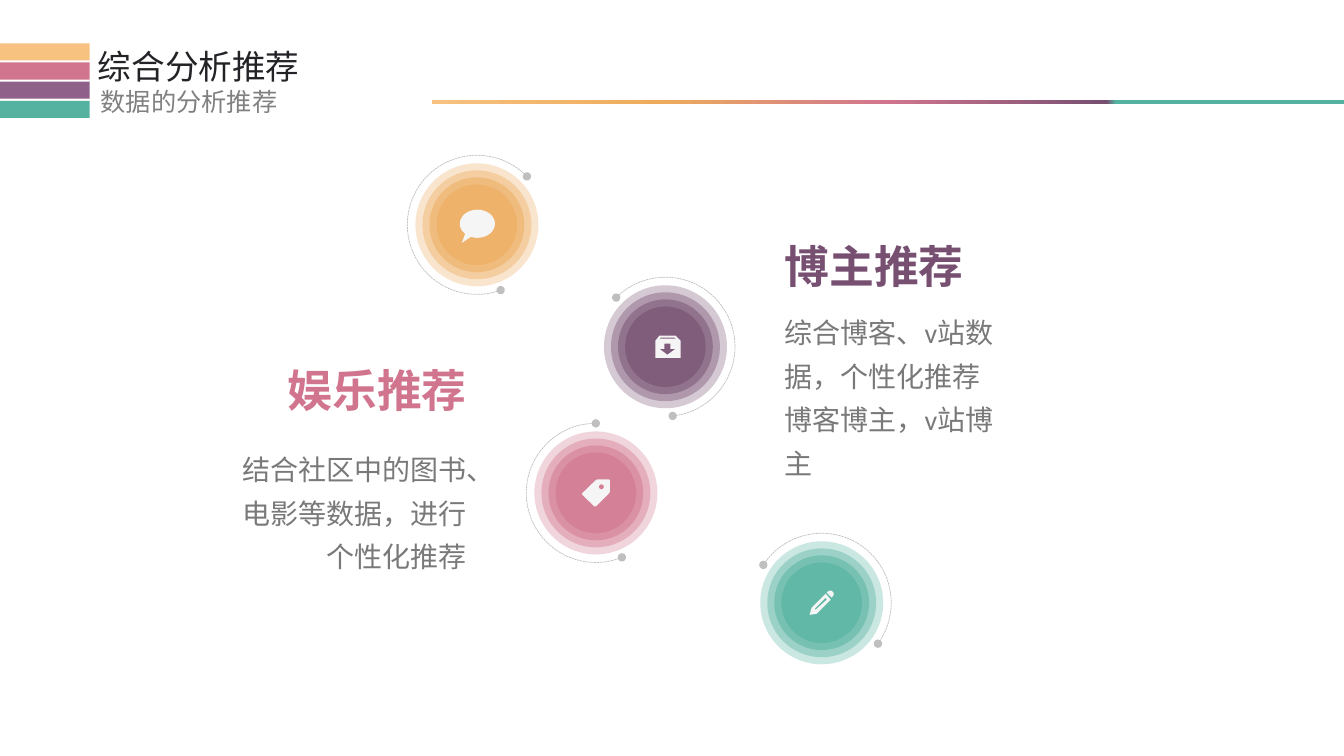
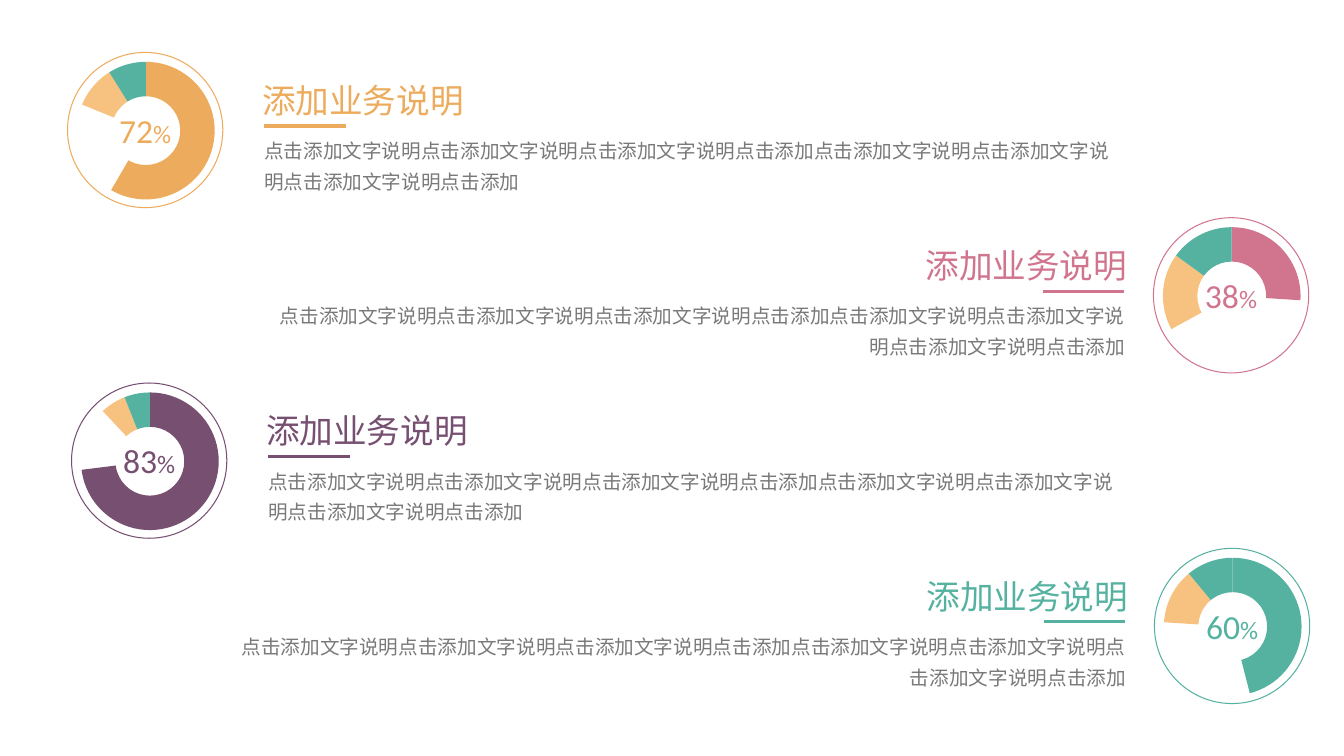
from dataclasses import dataclass
from math import cos, radians, sin

from lxml import etree
from pptx import Presentation
from pptx.chart.data import CategoryChartData
from pptx.dml.color import RGBColor
from pptx.enum.chart import XL_CHART_TYPE as CHART
from pptx.enum.dml import MSO_LINE
from pptx.enum.shapes import MSO_CONNECTOR, MSO_SHAPE as SHAPE
from pptx.enum.text import MSO_ANCHOR, MSO_AUTO_SIZE, PP_ALIGN as ALIGN
from pptx.oxml.ns import qn
from pptx.util import Inches, Pt


@dataclass(frozen=True)
class Theme:
    amber: str = "EDAC5D"
    sand: str = "F7C17F"
    rose: str = "D1758E"
    plum: str = "774F71"
    mauve: str = "8F608A"
    teal: str = "55B2A0"
    ink: str = "232226"
    subtitle: str = "808080"
    body: str = "797979"
    orbit: str = "BFBFBF"
    icon: str = "F5F5F5"
    white: str = "FFFFFF"
    cjk: str = "Noto Sans CJK SC"
    latin: str = "Calibri"
    chart_font: str = "Arial"
    big: int = 32
    head: int = 24
    text: int = 20
    sub: int = 18
    small: int = 14
    chart_size: int = 10


T = Theme()
rgb = RGBColor.from_string
TITLE_ONLY, BLANK = 5, 6


# Shared helpers
def sub(parent, tag, **attrs):
    """Append an XML child with the given attributes."""
    child = etree.SubElement(parent, qn(tag))
    for key, value in attrs.items():
        child.set(key, str(value))
    return child


def paint(sp, color=None, alpha=None, line=None, width=0.75):
    """Set fill and outline, without a shadow."""
    sp.shadow.inherit = False
    if color:
        sp.fill.solid()
        sp.fill.fore_color.rgb = rgb(color)
        if alpha:
            clr = sp._element.spPr.find(".//" + qn("a:srgbClr"))
            sub(clr, "a:alpha", val=alpha * 1000)
    else:
        sp.fill.background()
    if line:
        sp.line.color.rgb = rgb(line)
        sp.line.width = Pt(width)
    else:
        sp.line.fill.background()
    return sp


def shape(shapes, kind, x, y, w, h, **style):
    sp = shapes.add_shape(kind, Inches(x), Inches(y), Inches(w), Inches(h))
    return paint(sp, **style)


def circle(shapes, cx, cy, d, **style):
    return shape(shapes, SHAPE.OVAL, cx - d / 2, cy - d / 2, d, d, **style)


def write(tf, runs, color, align=ALIGN.LEFT, spacing=None, bold=False):
    """Fill a text frame with one paragraph of (text, size, font) runs."""
    tf.word_wrap = True
    tf.auto_size = MSO_AUTO_SIZE.SHAPE_TO_FIT_TEXT
    tf.vertical_anchor = MSO_ANCHOR.TOP
    tf.margin_left = tf.margin_right = Inches(0.05)
    tf.margin_top = tf.margin_bottom = Inches(0.05)
    p = tf.paragraphs[0]
    p.alignment = align
    if spacing:
        p.line_spacing = spacing
    for words, size, font in runs:
        r = p.add_run()
        r.text = words
        r.font.size = Pt(size)
        r.font.bold = bold
        r.font.color.rgb = rgb(color)
        r.font.name = font
        sub(r._r.get_or_add_rPr(), "a:ea", typeface=font)


def text(shapes, x, y, w, h, runs, color, **style):
    box = shapes.add_textbox(Inches(x), Inches(y), Inches(w), Inches(h))
    write(box.text_frame, runs, color, **style)


# Slide header: colour bars, title, subtitle, gradient rule
def header(slide, title, subtitle):
    for i, color in enumerate((T.sand, T.rose, T.mauve, T.teal)):
        shape(slide.shapes, SHAPE.RECTANGLE, 0, 0.43 + 0.19 * i, 0.89, 0.17, color=color)
    ph = slide.shapes.title
    ph.left, ph.top, ph.width, ph.height = map(Inches, (0.92, 0.41, 2.26, 0.56))
    write(ph.text_frame, [(title, T.head, T.cjk)], T.ink)
    text(slide.shapes, 0.95, 0.81, 3.57, 0.45, [(subtitle, T.sub, T.cjk)], T.subtitle)

    rule = shape(slide.shapes, SHAPE.RECTANGLE, 4.28, 0.99, 9.05, 0.04)
    rule.fill.gradient()
    rule.fill.gradient_angle = 0
    stops = rule._element.spPr.find(".//" + qn("a:gsLst"))
    for stop in list(stops):
        stops.remove(stop)
    for pos, color in ((0, T.sand), (25, T.amber), (50, T.rose),
                       (74, T.plum), (75, T.teal), (100, T.teal)):
        sub(sub(stops, "a:gs", pos=pos * 1000), "a:srgbClr", val=color)


# Icons, outlined in thousandths of an inch around the orb centre
TAG_HOLE = [(55 + 25 * cos(radians(a)), -60 + 25 * sin(radians(a)))
            for a in range(0, 360, 30)]
TAG = [[(20, -135), (125, -135), (137, -130), (140, -120), (140, -15), (132, 3),
        (5, 130), (-8, 135), (-20, 130), (-132, 20), (-138, 10), (-132, 0), (0, -127)],
       TAG_HOLE]
ARCHIVE = [[(-60, -110), (100, -110), (150, -60), (150, 110), (-100, 110), (-100, -60)],
           [(20, 80), (-60, 20), (-10, 20), (-10, -30), (50, -30), (50, 20), (100, 20)],
           [(-60, -80), (-50, -90), (90, -90), (110, -80)]]
PENCIL = [[(50, -100), (70, -118), (95, -120), (115, -105), (120, -80), (100, -50)],
          [(-100, 50), (-120, 120), (-50, 110), (90, -30), (40, -90)],
          [(50, -30), (-60, 70), (-70, 60), (40, -50)]]


def outline_icon(shapes, cx, cy, contours):
    builder = None
    for start, *rest in contours:
        if builder is None:
            builder = shapes.build_freeform(*start, scale=914.4)
        else:
            builder.move_to(*start)
        builder.add_line_segments(rest, close=True)
    paint(builder.convert_to_shape(Inches(cx), Inches(cy)), T.icon)


def speech_icon(shapes, cx, cy):
    sp = shape(shapes, SHAPE.OVAL_CALLOUT, cx - 0.17, cy - 0.15, 0.35, 0.28, color=T.icon)
    sp.adjustments[0], sp.adjustments[1] = -0.44, 0.68


# Orb: four translucent discs, a dashed orbit and an icon
def orb(slide, cx, cy, color, start, end, contours=None):
    shapes = slide.shapes.add_group_shape().shapes
    for i in range(4):
        circle(shapes, cx, cy, 1.22 - 0.14 * i, color=color, alpha=30 + 10 * i)
    d = 1.38
    orbit = shape(shapes, SHAPE.ARC, cx - d / 2, cy - d / 2, d, d, line=T.orbit, width=0.5)
    orbit.adjustments[0], orbit.adjustments[1] = start * 0.6, end * 0.6
    orbit.line.dash_style = MSO_LINE.SQUARE_DOT
    ln = orbit._element.spPr.find(qn("a:ln"))
    for tag in ("a:headEnd", "a:tailEnd"):
        sub(ln, tag, type="oval")
    if contours:
        outline_icon(shapes, cx, cy, contours)
    else:
        speech_icon(shapes, cx, cy)


# Recommendation: large heading over a paragraph
def recommendation(slide, x, y, w, heading, color, gap, runs, align):
    text(slide.shapes, x, y, w, 0.64, [(heading, T.big, T.cjk)], color,
         align=align, bold=True)
    text(slide.shapes, x, y + gap, w, 1.5, runs, T.body, align=align, spacing=1.3)


def recommendation_slide(prs):
    slide = prs.slides.add_slide(prs.slide_layouts[TITLE_ONLY])
    header(slide, "综合分析推荐", "数据的分析推荐")
    orb(slide, 4.73, 2.23, T.amber, 70, 316)
    orb(slide, 5.91, 4.89, T.rose, 68, 270, TAG)
    orb(slide, 6.6, 3.44, T.plum, 225, 84, ARCHIVE)
    orb(slide, 8.15, 5.98, T.teal, 213, 36, PENCIL)
    blogger = [("综合博客、", T.text, T.cjk), ("v", T.text, T.latin),
               ("站数据，个性化推荐博客博主，", T.text, T.cjk),
               ("v", T.text, T.latin), ("站博主", T.text, T.cjk)]
    recommendation(slide, 7.73, 2.32, 2.19, "博主推荐", T.plum, 0.66, blogger, ALIGN.LEFT)
    leisure = [("结合社区中的图书、电影等数据，进行个性化推荐", T.text, T.cjk)]
    recommendation(slide, 2.17, 3.55, 2.51, "娱乐推荐", T.rose, 0.79, leisure, ALIGN.RIGHT)


# Doughnut with its second slice left empty
def doughnut(slide, x, y, size, values, color):
    data = CategoryChartData()
    data.categories = ["1", "2", "3", "4"]
    data.add_series("Series 1", values)
    chart = slide.shapes.add_chart(CHART.DOUGHNUT, Inches(x), Inches(y),
                                   Inches(size), Inches(size), data).chart
    chart.has_legend = chart.has_title = False
    chart.font.name = T.chart_font
    chart.font.size = Pt(T.chart_size)
    chart.font.color.rgb = rgb(T.white)
    plot = chart.plots[0]
    plot.vary_by_categories = False
    plot.has_data_labels = False
    for i, fill in enumerate((color, None, T.sand, T.teal)):
        fmt = plot.series[0].points[i].format
        if fill:
            fmt.fill.solid()
            fmt.fill.fore_color.rgb = rgb(fill)
        else:
            fmt.fill.background()
        fmt.line.fill.background()

    # Hole size and plot area
    area = chart._chartSpace.find(".//" + qn("c:plotArea"))
    area.find(".//" + qn("c:holeSize")).set("val", "80")
    old = area.find(qn("c:layout"))
    if old is not None:
        area.remove(old)
    layout = etree.Element(qn("c:layout"))
    area.insert(0, layout)
    manual = sub(layout, "c:manualLayout")
    for tag, val in (("layoutTarget", "inner"), ("xMode", "edge"), ("yMode", "edge"),
                     ("x", 0.01), ("y", 0.01), ("w", 0.99), ("h", 0.99)):
        sub(manual, "c:" + tag, val=val)


# Metric row: ringed doughnut with heading, rule and text beside it
def metric(slide, x, y, percent, values, color, body_w, on_right):
    ring, inset = 1.54, 0.08
    doughnut(slide, x + inset, y + inset, ring - 2 * inset, values, color)
    circle(slide.shapes, x + ring / 2, y + ring / 2, ring, line=color)
    text(slide.shapes, x + ring / 2 - 0.4, y + 0.52, 0.8, 0.5,
         [(percent, T.head, T.latin), ("%", T.sub, T.latin)], color, align=ALIGN.CENTER)

    head_w, rule_w = 2.53, 0.81
    if on_right:
        align = ALIGN.RIGHT
        head_x, body_x, rule_x = x - 0.21 - head_w, x - 0.23 - body_w, x - 0.29 - rule_w
    else:
        align = ALIGN.LEFT
        head_x, body_x, rule_x = x + 1.88, x + 1.9, x + 1.95
    text(slide.shapes, head_x, y + 0.22, head_w, 0.56,
         [("添加业务说明", T.head, T.cjk)], color, align=align)
    phrase = "点击添加文字说明"
    body = phrase * 3 + "点击添加" + phrase * 3 + "点击添加"
    body = body.replace("点击添加" + phrase * 3, "点击添加" + phrase * 3, 1)
    text(slide.shapes, body_x, y + 0.74, body_w, 0.74,
         [(body, T.small, T.cjk)], T.body, align=align, spacing=1.3)
    rule = slide.shapes.add_connector(MSO_CONNECTOR.STRAIGHT, Inches(rule_x), Inches(y + 0.73),
                                      Inches(rule_x + rule_w), Inches(y + 0.73))
    rule.line.color.rgb = rgb(color)
    rule.line.width = Pt(2.25)
    sub(rule._element.spPr, "a:effectLst")


def metrics_slide(prs):
    slide = prs.slides.add_slide(prs.slide_layouts[BLANK])
    rows = ((0.67, "72", (59, 23, 10, 9), T.amber, 8.5),
            (11.44, "38", (26, 41, 18, 15), T.rose, 8.6),
            (0.71, "83", (73, 15, 6, 6), T.plum, 8.5),
            (11.45, "60", (46, 30, 13, 11), T.teal, 8.94))
    for i, (x, percent, values, color, body_w) in enumerate(rows):
        metric(slide, x, 0.52 + 1.64 * i, percent, values, color, body_w, i % 2 == 1)


def main():
    prs = Presentation()
    prs.slide_width, prs.slide_height = Inches(13.33), Inches(7.5)
    recommendation_slide(prs)
    metrics_slide(prs)
    prs.save("out.pptx")


if __name__ == "__main__":
    main()
